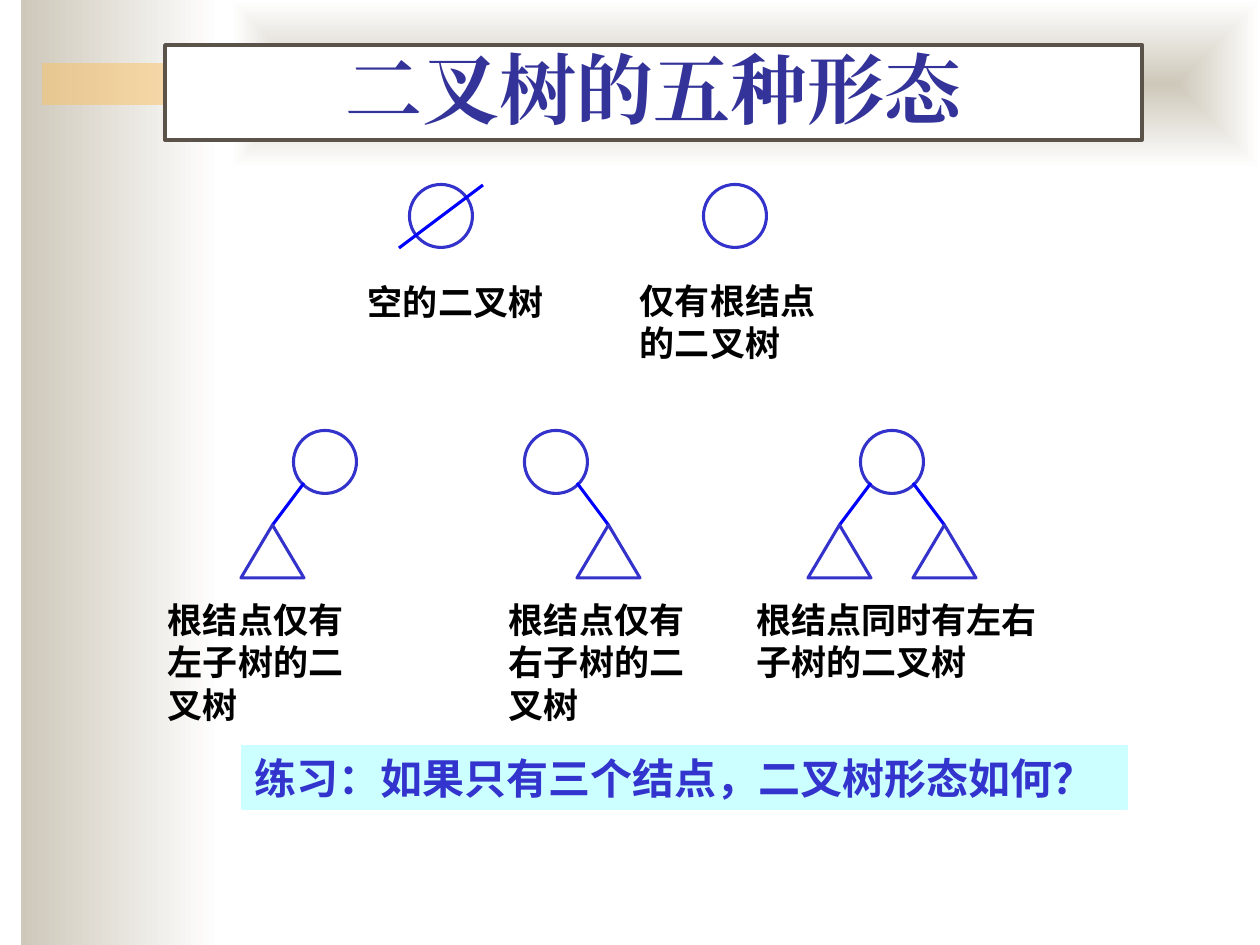
from lxml.etree import SubElement
from pptx import Presentation
from pptx.dml.color import RGBColor
from pptx.enum.shapes import MSO_CONNECTOR, MSO_SHAPE as SHAPE
from pptx.enum.text import MSO_ANCHOR as ANCHOR, PP_ALIGN as ALIGN
from pptx.oxml import parse_xml
from pptx.oxml.ns import nsdecls, qn
from pptx.util import Pt

EMU_PER_PX = 914400 / 126
COLORS = {
    "sand": "CEC8BA", "white": "FFFFFF", "amber": "FAC164", "frame": "5B5249",
    "title": "333399", "cyan": "CCFFFF", "exercise": "3333CD",
    "node": "3333CC", "edge": "0000FF", "black": "000000",
}
CJK, SERIF = "Noto Sans CJK SC", "Times New Roman"

TITLE = "二叉树的五种形态"
EXERCISE = "练习：如果只有三个结点，二叉树形态如何？"
CAPTIONS = [
    ("空的二叉树", 368, 280, 179, 42),
    ("仅有根结点的二叉树", 640, 280, 179, 84),
    ("根结点仅有左子树的二叉树", 168, 599, 199, 127),
    ("根结点仅有右子树的二叉树", 509, 599, 199, 127),
    ("根结点同时有左右子树的二叉树", 756, 599, 284, 84),
]
SINGLE_NODES = [(441, 216), (735, 216)]
EMPTY_SLASH = (483, 185, 399, 248)
LEFT, RIGHT = -1, 1
TREES = [(325, [LEFT]), (556, [RIGHT]), (892, [LEFT, RIGHT])]
ROOT_Y, NODE_SIZE = 462, 63
EDGE_TOP, SUBTREE_TOP, SUBTREE_HEIGHT = 483, 525, 53
EDGE_START, SUBTREE_OFFSET = 21, 52.5


def px(*lengths):
    return [round(length * EMU_PER_PX) for length in lengths]


def rgb(name):
    return RGBColor.from_string(COLORS[name])


def add_box(kind, box, fill=None, line=None, width=1.75):
    shape = slide.shapes.add_shape(kind, *px(*box))
    shape.shadow.inherit = False
    if fill:
        shape.fill.solid()
        shape.fill.fore_color.rgb = rgb(fill)
    else:
        shape.fill.background()
    if line:
        shape.line.color.rgb = rgb(line)
        shape.line.width = Pt(width)
    else:
        shape.line.fill.background()
    return shape


def add_gradient(box, direction):
    shape = add_box(SHAPE.RECTANGLE, box)
    properties = shape.fill._xPr
    properties.replace(properties.find(qn("a:noFill")), parse_xml(
        f'<a:gradFill {nsdecls("a")} rotWithShape="1"><a:gsLst>'
        f'<a:gs pos="0"><a:srgbClr val="{COLORS["sand"]}"/></a:gs>'
        f'<a:gs pos="100000"><a:srgbClr val="{COLORS["white"]}"/></a:gs>'
        f'</a:gsLst>{direction}</a:gradFill>'))


def add_line(x1, y1, x2, y2):
    line = slide.shapes.add_connector(MSO_CONNECTOR.STRAIGHT, *px(x1, y1, x2, y2))
    line.line.color.rgb = rgb("edge")
    line.line.width = Pt(1.75)
    SubElement(line._element.spPr, qn("a:effectLst"))


def write(shape, text, size, color, font=CJK, align=ALIGN.LEFT, anchor=ANCHOR.TOP):
    frame = shape.text_frame
    frame.word_wrap = True
    frame.vertical_anchor = anchor
    paragraph = frame.paragraphs[0]
    paragraph.alignment = align
    run = paragraph.add_run()
    run.text = text
    run.font.size = Pt(size)
    run.font.bold = True
    run.font.name = font
    run.font.color.rgb = rgb(color)
    SubElement(run.font._element, qn("a:ea")).set("typeface", font)


def add_node(x, y):
    add_box(SHAPE.OVAL, (x - NODE_SIZE / 2, y - NODE_SIZE / 2, NODE_SIZE, NODE_SIZE),
            line="node")


presentation = Presentation()
presentation.slide_width, presentation.slide_height = px(1260, 945)
slide = presentation.slides.add_slide(presentation.slide_layouts[6])

add_gradient((21, 0, 199, 945), '<a:lin ang="0" scaled="1"/>')
add_gradient((231, 0, 1029, 168), '<a:path path="shape"><a:fillToRect l="50000" '
             't="50000" r="50000" b="50000"/></a:path>')
accent = add_box(SHAPE.RECTANGLE, (42, 63, 346, 42), "amber")
accent_color = accent.fill._xPr.find(".//" + qn("a:srgbClr"))
SubElement(accent_color, qn("a:alpha")).set("val", "50000")

title = add_box(SHAPE.RECTANGLE, (165, 45, 977, 95), "white", "frame", 2)
write(title, TITLE, 44, "title", SERIF, ALIGN.CENTER, ANCHOR.BOTTOM)
exercise = add_box(SHAPE.RECTANGLE, (242, 746, 885, 63), "cyan", "cyan", 0.75)
write(exercise, EXERCISE, 24, "exercise")

for x, y in SINGLE_NODES:
    add_node(x, y)
add_line(*EMPTY_SLASH)

for root_x, sides in TREES:
    add_node(root_x, ROOT_Y)
    for side in sides:
        subtree_x = root_x + side * SUBTREE_OFFSET
        add_line(root_x + side * EDGE_START, EDGE_TOP, subtree_x, SUBTREE_TOP)
        add_box(SHAPE.ISOSCELES_TRIANGLE,
                (subtree_x - NODE_SIZE / 2, SUBTREE_TOP, NODE_SIZE, SUBTREE_HEIGHT),
                line="node")

for text, *box in CAPTIONS:
    caption = slide.shapes.add_textbox(*px(*box))
    frame = caption.text_frame
    frame.margin_left = frame.margin_right = frame.margin_top = frame.margin_bottom = 0
    write(caption, text, 20, "black")

presentation.save("out.pptx")
